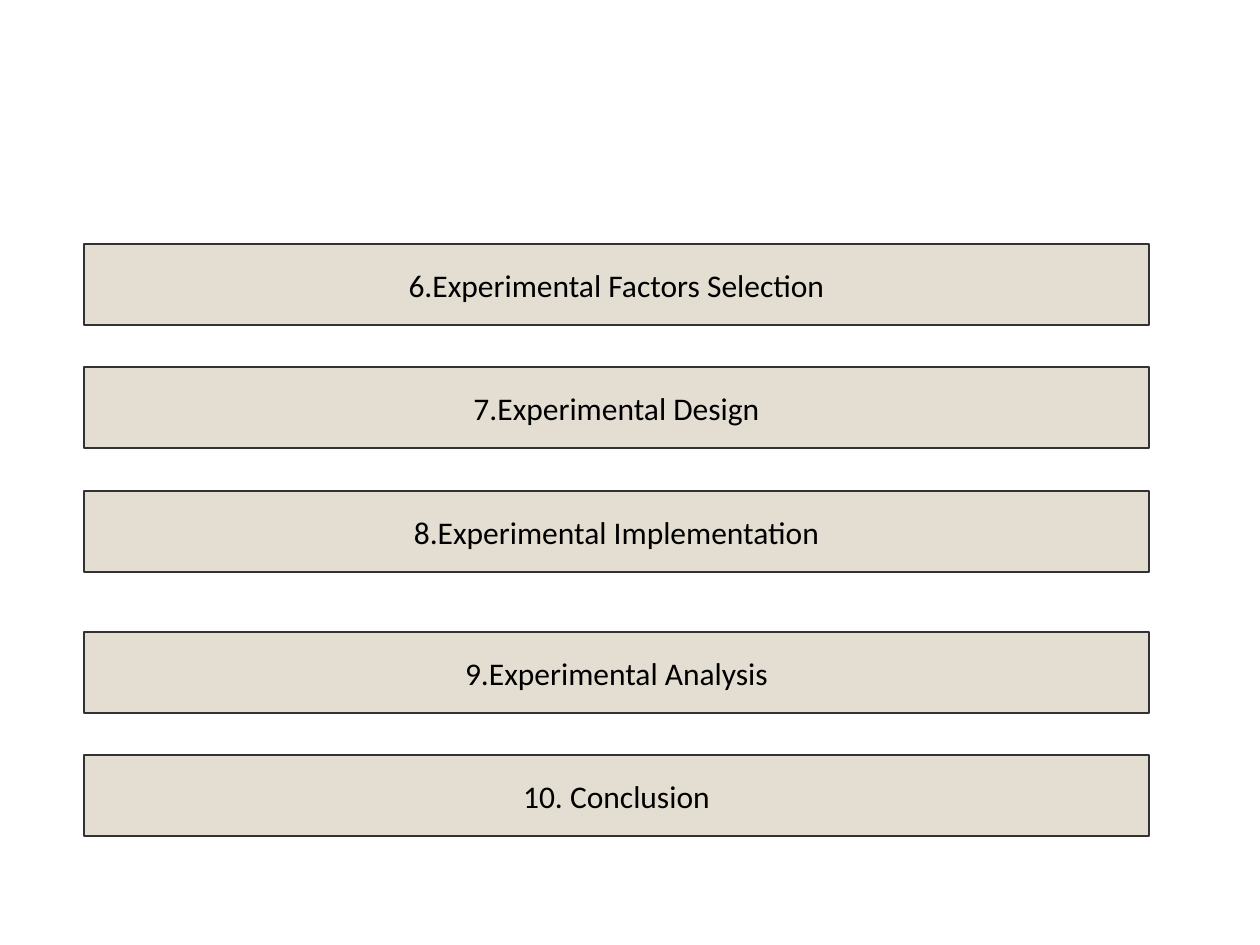
"""Build a slide listing the experimental steps six to ten as stacked bars."""
from dataclasses import dataclass

from pptx import Presentation
from pptx.dml.color import RGBColor
from pptx.enum.shapes import MSO_SHAPE
from pptx.enum.text import MSO_ANCHOR, PP_ALIGN
from pptx.shapes.autoshape import Shape
from pptx.slide import Slide
from pptx.util import Emu, Inches, Pt

RECTANGLE = MSO_SHAPE.RECTANGLE
MIDDLE = MSO_ANCHOR.MIDDLE
CENTER = PP_ALIGN.CENTER

BEIGE = RGBColor(0xE3, 0xDE, 0xD1)
CHARCOAL = RGBColor(0x32, 0x32, 0x32)
BLACK = RGBColor(0x00, 0x00, 0x00)

PX_PER_INCH = 126
SLIDE_WIDTH, SLIDE_HEIGHT = 1260, 945
BAR_LEFT, BAR_WIDTH, BAR_HEIGHT = 84, 1065, 81
BLANK_LAYOUT = 6


@dataclass(frozen=True)
class Step:
    label: str
    top: int


STEPS = (
    Step("6.Experimental Factors Selection", 244),
    Step("7.Experimental Design", 367),
    Step("8.Experimental Implementation", 491),
    Step("9.Experimental Analysis", 632),
    Step("10. Conclusion", 755),
)


def px(length: int) -> Emu:
    return Inches(length / PX_PER_INCH)


def write_text(shape: Shape, text: str, *, size: int = 18, font: str = "Calibri",
               color: RGBColor = BLACK, inset: float = 0.1) -> None:
    frame = shape.text_frame
    frame.word_wrap = True
    frame.vertical_anchor = MIDDLE
    frame.margin_left = frame.margin_right = Inches(inset)
    frame.margin_top = frame.margin_bottom = Inches(inset)
    paragraph = frame.paragraphs[0]
    paragraph.alignment = CENTER
    run = paragraph.add_run()
    run.text = text
    run.font.name = font
    run.font.size = Pt(size)
    run.font.color.rgb = color


def draw_step(slide: Slide, step: Step) -> None:
    bar = slide.shapes.add_shape(
        RECTANGLE, px(BAR_LEFT), px(step.top), px(BAR_WIDTH), px(BAR_HEIGHT))
    bar.shadow.inherit = False
    bar.fill.solid()
    bar.fill.fore_color.rgb = BEIGE
    bar.line.color.rgb = CHARCOAL
    bar.line.width = Pt(0.75)
    write_text(bar, step.label)


def main() -> None:
    presentation = Presentation()
    presentation.slide_width = px(SLIDE_WIDTH)
    presentation.slide_height = px(SLIDE_HEIGHT)
    slide = presentation.slides.add_slide(presentation.slide_layouts[BLANK_LAYOUT])
    for step in STEPS:
        draw_step(slide, step)
    presentation.save("out.pptx")


if __name__ == "__main__":
    main()
